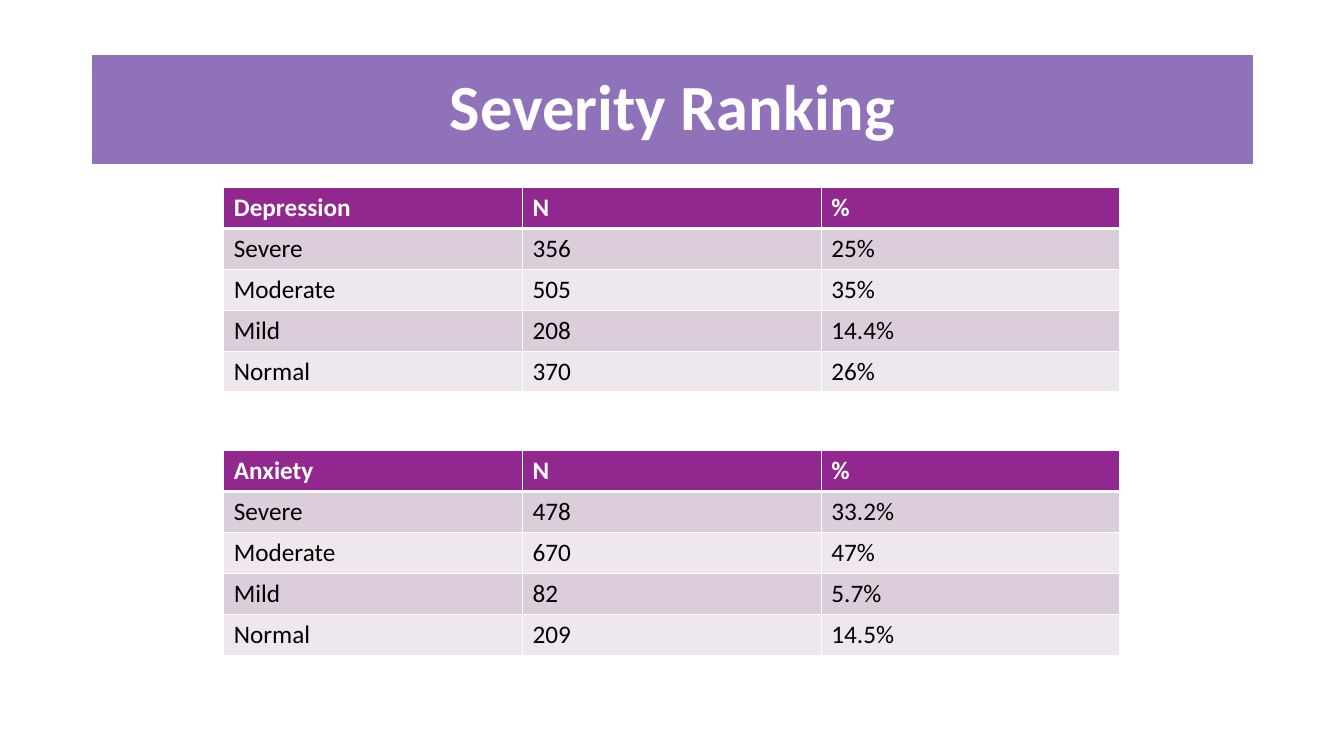
from lxml import etree
from pptx import Presentation
from pptx import util as u
from pptx.dml.color import RGBColor
from pptx.enum import shapes, text
from pptx.oxml import ns

WHITE = RGBColor(0xFF, 0xFF, 0xFF)
BLACK = RGBColor(0x00, 0x00, 0x00)
BANNER_PURPLE = RGBColor(0x8F, 0x72, 0xBA)
HEADER_PURPLE = RGBColor(0x92, 0x27, 0x8F)
BAND_DARK = RGBColor(0xDC, 0xCD, 0xDB)
BAND_LIGHT = RGBColor(0xEE, 0xE8, 0xEE)

DEPRESSION = [
    ("Depression", "N", "%"),
    ("Severe", "356", "25%"),
    ("Moderate", "505", "35%"),
    ("Mild", "208", "14.4%"),
    ("Normal", "370", "26%"),
]
ANXIETY = [
    ("Anxiety", "N", "%"),
    ("Severe", "478", "33.2%"),
    ("Moderate", "670", "47%"),
    ("Mild", "82", "5.7%"),
    ("Normal", "209", "14.5%"),
]


class SlideBuilder:
    font_name = "Calibri"
    title_size = u.Pt(46)
    table_size = u.Pt(18)

    def __init__(self, slide):
        self.slide = slide

    def set_font(self, paragraph, size, color, bold):
        font = paragraph.font
        font.name = self.font_name
        font.size = size
        font.bold = bold
        font.color.rgb = color

    def add_banner(self, title, left, top, width, height):
        shape = self.slide.shapes.add_shape(
            shapes.MSO_SHAPE.RECTANGLE, left, top, width, height)
        shape.shadow.inherit = False
        shape.fill.solid()
        shape.fill.fore_color.rgb = BANNER_PURPLE
        shape.line.color.rgb = BANNER_PURPLE
        shape.line.width = u.Pt(1)
        shape.text_frame.word_wrap = True
        shape.text_frame.vertical_anchor = text.MSO_ANCHOR.MIDDLE
        paragraph = shape.text_frame.paragraphs[0]
        paragraph.text = title
        paragraph.alignment = text.PP_ALIGN.CENTER
        paragraph.line_spacing = 0.9
        self.set_font(paragraph, self.title_size, WHITE, True)

    def set_borders(self, cell, top, bottom):
        """Draw white cell borders; top and bottom are widths in points."""
        properties = cell._tc.get_or_add_tcPr()
        for side, width in (("L", 1), ("R", 1), ("T", top), ("B", bottom)):
            line = etree.SubElement(
                properties, ns.qn(f"a:ln{side}"), w=str(u.Pt(width)))
            fill = etree.SubElement(line, ns.qn("a:solidFill"))
            etree.SubElement(fill, ns.qn("a:srgbClr"), val=str(WHITE))

    def add_severity_table(self, rows, left, top, width, height):
        table = self.slide.shapes.add_table(
            len(rows), len(rows[0]), left, top, width, height).table
        for row_index, row in enumerate(rows):
            is_header = row_index == 0
            band = BAND_DARK if row_index % 2 else BAND_LIGHT
            for column_index, value in enumerate(row):
                cell = table.cell(row_index, column_index)
                self.set_borders(cell, top=3 if row_index == 1 else 1,
                                 bottom=3 if is_header else 1)
                cell.fill.solid()
                cell.fill.fore_color.rgb = HEADER_PURPLE if is_header else band
                cell.text = value
                self.set_font(cell.text_frame.paragraphs[0], self.table_size,
                              WHITE if is_header else BLACK, is_header)


def main():
    presentation = Presentation()
    presentation.slide_width = u.Inches(13.33)
    presentation.slide_height = u.Inches(7.5)
    slide = presentation.slides.add_slide(presentation.slide_layouts[6])
    builder = SlideBuilder(slide)

    builder.add_banner("Severity Ranking", u.Inches(0.92), u.Inches(0.55),
                       u.Inches(11.5), u.Inches(1.07))
    for rows, top in ((DEPRESSION, 1.86), (ANXIETY, 4.47)):
        builder.add_severity_table(rows, u.Inches(2.22), u.Inches(top),
                                   u.Inches(8.89), u.Inches(2.03))
    presentation.save("out.pptx")


if __name__ == "__main__":
    main()
